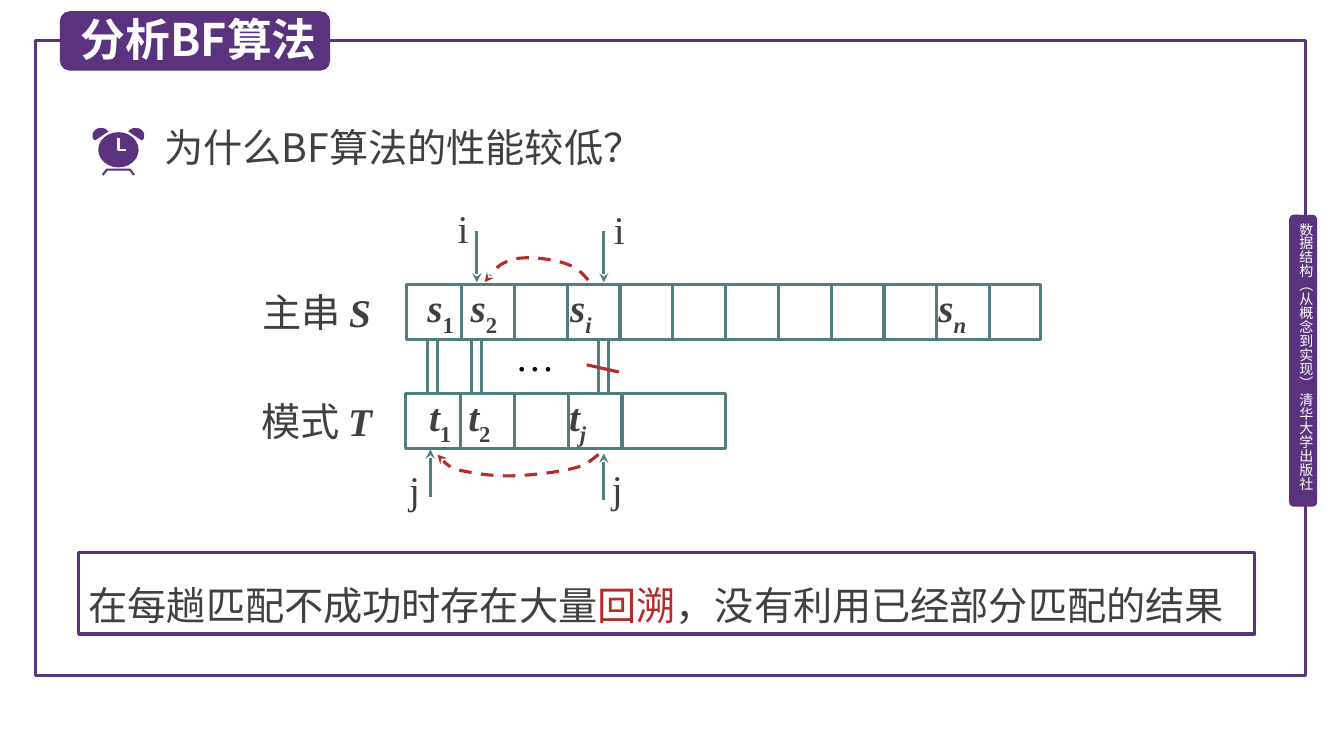
import pptx
import pptx.util
import pptx.dml.color
import pptx.enum.dml
import pptx.enum.shapes
import pptx.enum.text
import pptx.oxml.ns
import lxml.etree

Pt = pptx.util.Pt
SHAPE = pptx.enum.shapes.MSO_SHAPE
COLORS = {"purple": "5A327D", "teal": "507D7D", "red": "B42D2D",
          "ink": "404040", "black": "000000", "white": "FFFFFF"}
SANS, SERIF = "Noto Sans CJK SC", "Times New Roman"


def rgb(name):
    """Return the named colour."""
    return pptx.dml.color.RGBColor.from_string(COLORS[name])


def add_element(parent, tag, **attrs):
    """Append a DrawingML element with attributes."""
    el = lxml.etree.SubElement(parent, pptx.oxml.ns.qn(tag))
    for key, value in attrs.items():
        el.set(key, value)


def style_shape(sp, fill=None, line=None, width=2.25):
    """Give a shape its fill and outline, without a shadow."""
    sp.shadow.inherit = False
    if fill:
        sp.fill.solid()
        sp.fill.fore_color.rgb = rgb(fill)
    else:
        sp.fill.background()
    if line:
        sp.line.color.rgb = rgb(line)
        sp.line.width = Pt(width)
    else:
        sp.line.fill.background()
    return sp


def add_block(s, kind, x, y, w, h, fill=None, line=None):
    """Add a preset shape."""
    sp = s.shapes.add_shape(kind, Pt(x), Pt(y), Pt(w), Pt(h))
    return style_shape(sp, fill, line)


def write_runs(p, runs, size, font, color):
    """Write (text, overrides) runs into a paragraph."""
    for text, extra in runs:
        r = p.add_run()
        r.text = text
        r.font.size = Pt(size)
        r.font.bold = extra.get("bold", False)
        r.font.italic = extra.get("italic", False)
        r.font.color.rgb = rgb(extra.get("color", color))
        face = extra.get("font", font)
        r.font.name = face
        rpr = r._r.get_or_add_rPr()
        add_element(rpr, "a:ea", typeface=face)
        if extra.get("sub"):
            rpr.set("baseline", "-30000")


def add_text(s, x, y, w, h, runs, size=28, font=SANS, color="ink"):
    """Add a wrapping text box without insets."""
    tf = s.shapes.add_textbox(Pt(x), Pt(y), Pt(w), Pt(h)).text_frame
    tf.word_wrap = True
    tf.margin_left = tf.margin_right = tf.margin_top = tf.margin_bottom = 0
    write_runs(tf.paragraphs[0], runs, size, font, color)
    return tf


def add_line(s, x1, y1, x2, y2, color="teal", arrow=False):
    """Add a straight line, with an arrowhead at its end if wanted."""
    c = s.shapes.add_connector(pptx.enum.shapes.MSO_CONNECTOR.STRAIGHT,
                               Pt(x1), Pt(y1), Pt(x2), Pt(y2))
    c.line.color.rgb = rgb(color)
    c.line.width = Pt(2.25)
    if arrow:
        add_element(c.line._get_or_add_ln(), "a:tailEnd", type="stealth")
    add_element(c._element.spPr, "a:effectLst")


def add_path(s, x, y, points, close=False):
    """Add a freeform through points given relative to (x, y)."""
    pts = [(Pt(x + px), Pt(y + py)) for px, py in points]
    fb = s.shapes.build_freeform(*pts[0])
    fb.add_line_segments(pts[1:], close=close)
    return fb.convert_to_shape()


def trace_curve(points, steps=10):
    """Sample a chain of cubic curves: a start point, then triples."""
    out = [points[0]]
    for k in range(0, len(points) - 1, 3):
        quad = points[k:k + 4]
        for n in range(1, steps + 1):
            t = n / steps
            weights = ((1 - t) ** 3, 3 * t * (1 - t) ** 2, 3 * t * t * (1 - t), t ** 3)
            out.append(tuple(sum(wt * q[axis] for wt, q in zip(weights, quad))
                             for axis in (0, 1)))
    return out


def add_backtrack(s, x, y, points):
    """Add a dashed red curve with an arrowhead at its end."""
    sp = style_shape(add_path(s, x, y, trace_curve(points)), line="red")
    sp.line.dash_style = pptx.enum.dml.MSO_LINE.DASH
    add_element(sp.line._get_or_add_ln(), "a:tailEnd", type="stealth")


def draw_frame(s, x, y, w, h):
    """Draw the page border, the title tab and the side tab."""
    add_block(s, SHAPE.RECTANGLE, x, y, w, h, line="purple")
    add_block(s, SHAPE.ROUNDED_RECTANGLE, x + w - 11.5, y + 124.6, 20, 208.5, "purple")
    tf = add_text(s, x + w - 5.7, y + 130.3, 12.2, 202.3,
                  [("数据结构（从概念到实现） 清华大学出版社", {})], 10, color="white")
    tf._txBody.bodyPr.set("vert", "eaVert")
    add_block(s, SHAPE.ROUNDED_RECTANGLE, x + 17.6, y - 20.8, 193, 42.5, "purple")
    add_text(s, x + 32.4, y - 20.2, 170, 42, [("分析BF算法", {"bold": True})],
             32, color="white")


def draw_clock(s, x, y, w):
    """Draw an alarm clock icon."""
    bell = trace_curve([(5.8, 0), (2.9, 0), (0, 2.2), (0, 5), (0, 6.5), (0, 7.9),
                        (1.4, 8.6), (1.6, 8.8), (2, 8.8), (2.2, 8.6), (2.2, 8.6),
                        (10.8, 2.9), (10.8, 2.9), (11.5, 2.9), (11.5, 2.2),
                        (10.8, 2.2), (10.1, 0.7), (7.9, 0), (5.8, 0)])
    for points in (bell, [(w - px, py) for px, py in bell]):
        style_shape(add_path(s, x, y, points, close=True), "purple")
    add_block(s, SHAPE.OVAL, x + 4, y + 3, w - 8, 25.2, "purple")
    hands = [(18.4, 7), (18.4, 15.7), (23.5, 15.7)]
    feet = [(7.2, 33.6), (10.1, 29.8), (w - 10.1, 29.8), (w - 7.2, 33.6)]
    style_shape(add_path(s, x, y, hands), line="white", width=2)
    style_shape(add_path(s, x, y, feet), line="purple", width=1.5)


def draw_string(s, x, y, w, h, cells, pitch, name, letter, labels):
    """Draw a string as a row of cells with its name and labels."""
    add_block(s, SHAPE.RECTANGLE, x, y, w, h, line="teal")
    for k in range(cells - 1):
        add_line(s, x + h + k * pitch, y, x + h + k * pitch, y + h)
    strong = {"font": SERIF, "bold": True, "italic": True}
    add_text(s, x - 103, y + 3, 98, 36, [(name + " ", {}), (letter, strong)])
    for dx, sub in labels:
        index = {"bold": True, "italic": sub.isalpha(), "sub": True}
        add_text(s, x + dx, y - 1, 38, 38,
                 [(letter.lower(), strong), (sub, index)], font=SERIF)


def draw_matching(s, x, y):
    """Draw both strings, their comparison and the moving pointers."""
    draw_string(s, x, y, 452.9, 39.6, 12, 37.7, "主串", "S",
                [(15, "1"), (46, "2"), (117, "i"), (380, "n")])
    draw_string(s, x - 0.7, y + 78, 229, 39.6, 5, 38.4, "模式", "T",
                [(17, "1"), (45, "2"), (117, "j")])
    for dx in (15.1, 46.8, 137.5):
        for gap in (0, 7.2):
            add_line(s, x + dx + gap, y + 40, x + dx + gap, y + 78.5)
    add_line(s, x + 128.9, y + 57.6, x + 151.9, y + 62.7, "red")
    add_text(s, x + 78, y + 34, 44, 29, [("…", {})], font=SERIF, color="black")
    for dx, start, end in ((50.4, -38, -1.3), (141.1, -38, -1.3),
                           (17.2, 152, 118), (141.1, 154, 121)):
        add_line(s, x + dx, y + start, x + dx, y + end, arrow=True)
    for letter, dx, dy in (("i", 36.7, -57), ("i", 148.3, -56.5),
                           ("j", 2.1, 129), ("j", 146.8, 128.5)):
        add_text(s, x + dx, y + dy, 12, 40, [(letter, {})], font=SERIF)
    add_backtrack(s, x + 56, y - 19.4,
                  [(74, 16.5), (72, 14.4), (67, 8), (60.5, 5.8), (54, 2.9), (44.6, 1.4),
                   (36.7, 0.7), (25.2, 0), (19.4, 1.4), (13.7, 4.3), (7.9, 6.5),
                   (2.9, 15.1), (0, 18)])
    add_backtrack(s, x + 22.3, y + 121.7,
                  [(115.2, 0), (112.3, 1.4), (108, 7.2), (98.6, 9.4), (88.6, 12.2),
                   (70.6, 14.4), (56.2, 15.1), (38.9, 15.8), (23.8, 13), (14.4, 10.8),
                   (5, 7.9), (2.9, 2.2), (0, 0)])


def draw_conclusion(s, x, y, w, h):
    """Draw the framed conclusion."""
    tf = add_block(s, SHAPE.RECTANGLE, x, y, w, h, line="purple").text_frame
    tf.word_wrap = True
    tf.vertical_anchor = pptx.enum.text.MSO_ANCHOR.MIDDLE
    p = tf.paragraphs[0]
    p.alignment = pptx.enum.text.PP_ALIGN.LEFT
    p.line_spacing = 1.5
    write_runs(p, [("在每趟匹配不成功时存在大量", {}), ("回溯", {"color": "red"}),
                   ("，没有利用已经部分匹配的结果", {})], 28, SANS, "ink")


def main():
    """Build and save the slide."""
    prs = pptx.Presentation()
    prs.slide_width, prs.slide_height = Pt(960), Pt(540)
    s = prs.slides.add_slide(prs.slide_layouts[6])
    draw_frame(s, 25.2, 28.8, 907.2, 453.6)
    draw_clock(s, 66.2, 91.4, 36.8)
    add_text(s, 117.4, 88, 508, 41, [("为什么BF算法的性能较低？", {})])
    draw_matching(s, 290.2, 203)
    draw_conclusion(s, 56.2, 394.6, 840.2, 58.3)
    prs.save("out.pptx")


if __name__ == "__main__":
    main()
